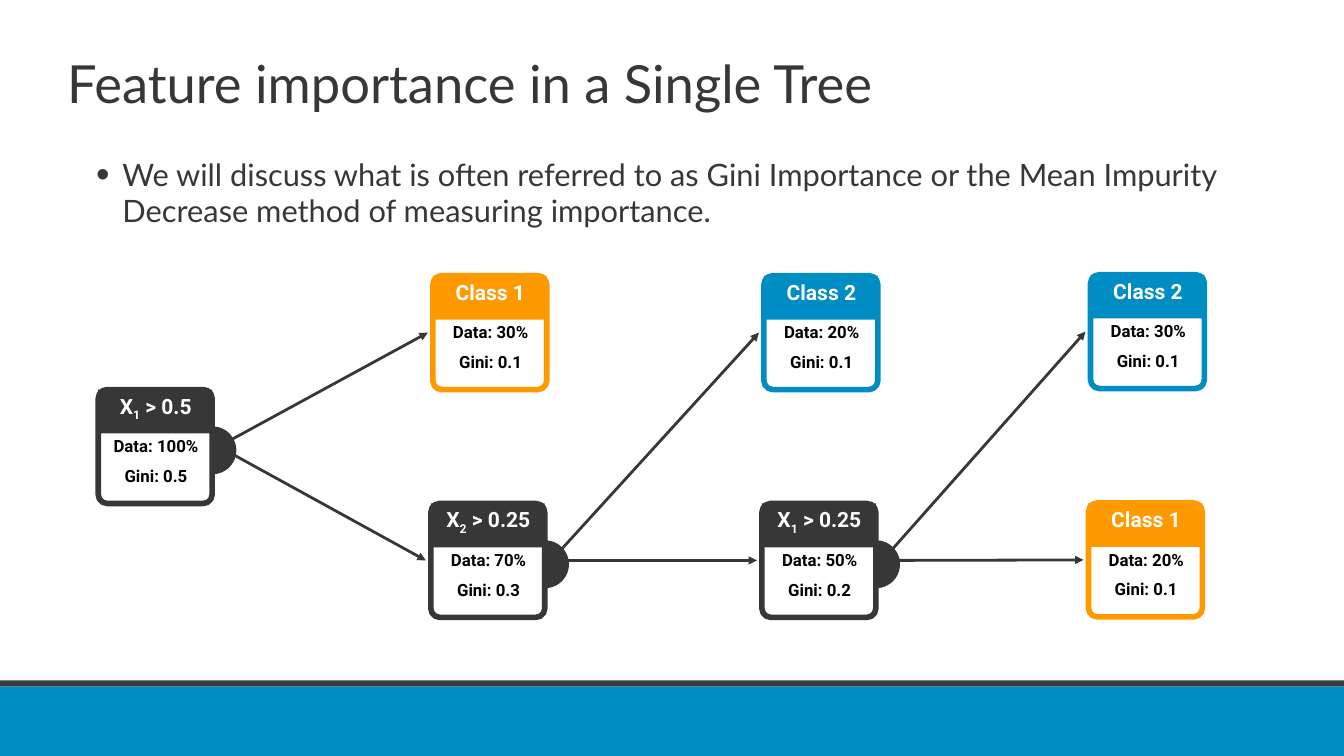
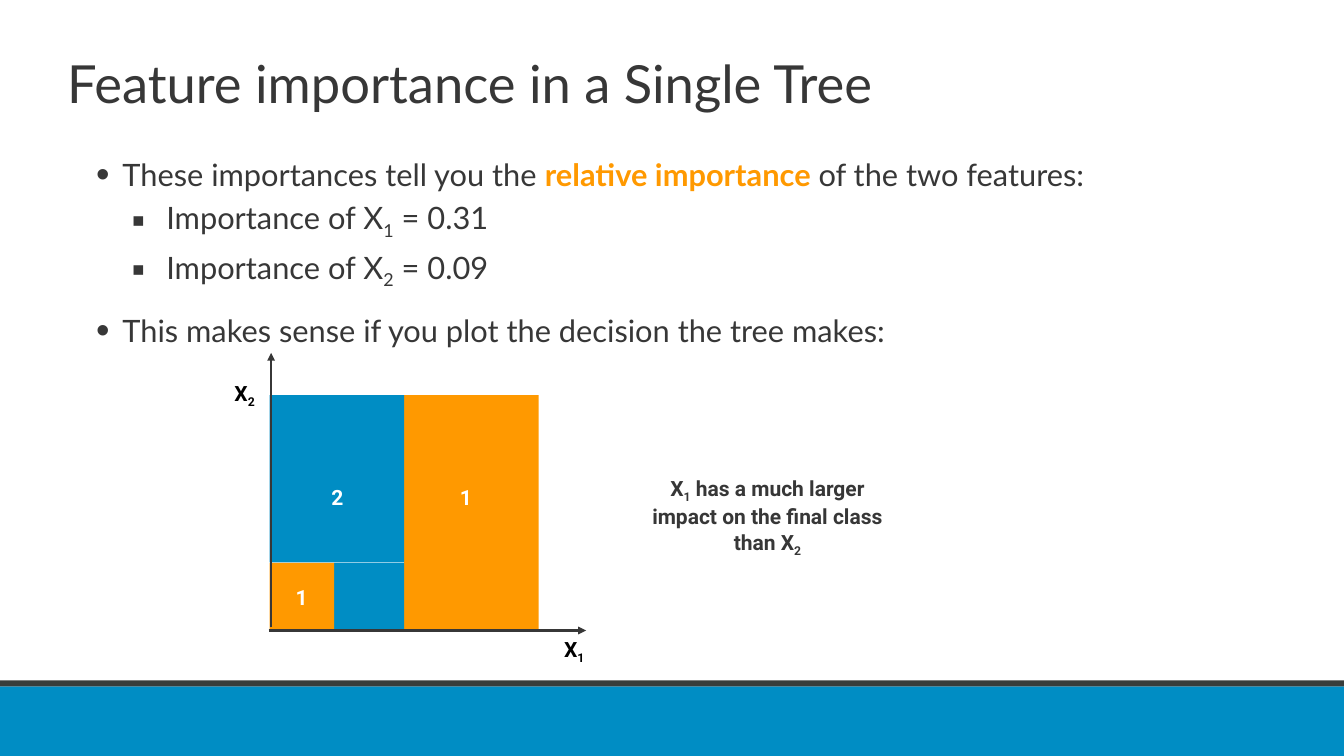
"""Build two slides on feature importance in a single decision tree."""
import pptx
import pptx.dml.color
import pptx.enum.shapes
import pptx.enum.text
import pptx.oxml.ns
import pptx.util
from lxml import etree
from pptx.util import Inches

COLORS = {
    "ink": "373737",
    "rule": "383D3B",
    "blue": "008DC4",
    "orange": "FF9900",
    "white": "FFFFFF",
    "black": "000000",
}
TITLE = "Feature importance in a Single Tree"
TITLE_FONT, LABEL_FONT = "Lato", "Roboto"
BULLETS = (("•", 0.52, 0.52, 30), ("▪", 1.39, 0.69, 10))
CARD = 2.26
HEADER = 0.87
HUB = 0.95
SHAPES = pptx.enum.shapes.MSO_SHAPE
ALIGN = pptx.enum.text.PP_ALIGN
AUTO_SIZE = pptx.enum.text.MSO_AUTO_SIZE


def rgb(name):
    return pptx.dml.color.RGBColor.from_string(COLORS[name])


def add_xml(parent, tag, **attributes):
    return etree.SubElement(parent, pptx.oxml.ns.qn(tag), **attributes)


def write_runs(paragraph, text, font, size, color, bold=False):
    """Between underscores, digits become subscripts and words are emphasised."""
    for index, piece in enumerate(text.split("_")):
        if not piece:
            continue
        run = paragraph.add_run()
        run.text = piece
        marked = index % 2 == 1
        emphasised = marked and not piece.isdigit()
        run.font.name = font
        run.font.size = pptx.util.Pt(size)
        run.font.bold = bold or emphasised
        run.font.color.rgb = rgb("orange" if emphasised else color)
        if marked and not emphasised:
            run.font._element.set("baseline", "-25000")


def add_block(slide, kind, left, top, width, height, fill, outline=None):
    block = slide.shapes.add_shape(
        kind, Inches(left), Inches(top), Inches(width), Inches(height))
    block.shadow.inherit = False
    block.fill.solid()
    block.fill.fore_color.rgb = rgb(fill)
    if outline:
        block.line.color.rgb = rgb(outline)
        block.line.width = pptx.util.Pt(8)
    else:
        block.line.fill.background()
    return block


def add_label(slide, text, left, top, width, height, size=30, color="black", wrap=True):
    label = slide.shapes.add_textbox(
        Inches(left), Inches(top), Inches(width), Inches(height))
    frame = label.text_frame
    frame.word_wrap = wrap
    frame.auto_size = AUTO_SIZE.SHAPE_TO_FIT_TEXT
    frame.paragraphs[0].alignment = ALIGN.CENTER
    write_runs(frame.paragraphs[0], text, LABEL_FONT, size, color, bold=True)


def add_arrow(slide, start, end, weight=4):
    arrow = slide.shapes.add_connector(
        pptx.enum.shapes.MSO_CONNECTOR.STRAIGHT,
        *(Inches(value) for value in (*start, *end)))
    arrow.line.color.rgb = rgb("ink")
    arrow.line.width = pptx.util.Pt(weight)
    add_xml(arrow.line._get_or_add_ln(), "a:tailEnd", type="triangle")
    add_xml(arrow._element.spPr, "a:effectLst")


def place_text(placeholder, left, top, width, height, anchor):
    placeholder.left, placeholder.top = Inches(left), Inches(top)
    placeholder.width, placeholder.height = Inches(width), Inches(height)
    frame = placeholder.text_frame
    frame.margin_left = frame.margin_right = Inches(0.06)
    frame.margin_top = frame.margin_bottom = Inches(0.06)
    frame.word_wrap = True
    frame.auto_size = AUTO_SIZE.NONE
    frame.vertical_anchor = anchor
    return frame


def format_bullet(paragraph, level):
    mark, margin, hanging, space = BULLETS[level]
    paragraph.level = level
    paragraph.alignment = ALIGN.LEFT
    paragraph.space_before = pptx.util.Pt(space)
    properties = paragraph._p.get_or_add_pPr()
    properties.set("marL", str(Inches(margin)))
    properties.set("indent", str(-Inches(hanging)))
    add_xml(properties, "a:buSzPct", val="125000")
    add_xml(properties, "a:buChar", char=mark)


def add_footer_bands(slide):
    """Draw the footer bands and hand them to the slide's layout."""
    for band in (
        add_block(slide, SHAPES.RECTANGLE, -0.05, 13.62, 26.76, 1.39, "blue"),
        add_block(slide, SHAPES.RECTANGLE, -0.03, 13.5, 26.72, 0.12, "rule"),
    ):
        slide.slide_layout.shapes._spTree.append(band._element)


def add_content_slide(deck, points):
    slide = deck.slides.add_slide(deck.slide_layouts[1])
    anchors = pptx.enum.text.MSO_ANCHOR
    heading = place_text(slide.shapes.title, 1.27, 0.39, 24.79, 2.5, anchors.MIDDLE)
    heading.paragraphs[0].alignment = ALIGN.LEFT
    write_runs(heading.paragraphs[0], TITLE, TITLE_FONT, 75, "ink")
    body = place_text(slide.placeholders[1], 1.85, 3.02, 22.97, 8.06, anchors.TOP)
    for index, (level, text) in enumerate(points):
        paragraph = body.add_paragraph() if index else body.paragraphs[0]
        format_bullet(paragraph, level)
        write_runs(paragraph, text, TITLE_FONT, 44, "ink")
    return slide


def add_node(slide, left, top, color, heading, data, gini):
    card = add_block(slide, SHAPES.ROUNDED_RECTANGLE, left, top, CARD, CARD, "white", color)
    card.adjustments[0] = 0.078
    add_block(slide, SHAPES.RECTANGLE, left, top, CARD, HEADER, color)
    add_label(slide, heading, left + 0.02, top + 0.02, 2.24, 0.61, color="white")
    add_label(slide, f"Data: {data}", left - 0.1, top + HEADER, 2.49, 0.5, size=24)
    add_label(slide, f"Gini: {gini}", left - 0.04, top + 1.46, 2.37, 0.5, size=24)


def add_tree(slide):
    nodes = {
        "root": (1.95, 7.73, "ink", "X_1_ > 0.5", "100%", "0.5"),
        "root leaf": (8.59, 5.47, "orange", "Class 1", "30%", "0.1"),
        "second": (8.55, 9.99, "ink", "X_2_ > 0.25", "70%", "0.3"),
        "second leaf": (15.16, 5.47, "blue", "Class 2", "20%", "0.1"),
        "third": (15.12, 9.99, "ink", "X_1_ > 0.25", "50%", "0.2"),
        "upper leaf": (21.64, 5.45, "blue", "Class 2", "30%", "0.1"),
        "lower leaf": (21.6, 9.98, "orange", "Class 1", "20%", "0.1"),
    }
    branches = {
        "root": ("root leaf", "second"),
        "second": ("second leaf", "third"),
        "third": ("upper leaf", "lower leaf"),
    }
    for parent, children in branches.items():
        left, top = nodes[parent][:2]
        for child in children:
            child_left, child_top = nodes[child][:2]
            add_arrow(slide, (left + CARD + 0.13, top + CARD / 2),
                      (child_left - 0.1, child_top + CARD / 2))
        add_block(slide, SHAPES.OVAL, left + 1.79, top + 0.73, HUB, HUB, "ink")
    for node in nodes.values():
        add_node(slide, *node)


def add_decision_plot(slide):
    regions = (
        (8.02, 7.84, 2.67, 4.65, "orange"),
        (5.35, 7.84, 2.67, 3.32, "blue"),
        (6.63, 11.17, 1.39, 1.33, "blue"),
        (5.35, 11.17, 1.28, 1.33, "orange"),
    )
    for region in regions:
        add_block(slide, SHAPES.RECTANGLE, *region)
    add_arrow(slide, (5.33, 12.51), (11.63, 12.51), 3.75)
    add_arrow(slide, (5.38, 12.45), (5.38, 7), 3.75)
    for axis, left, top in (("X_1_", 11.04, 12.58), ("X_2_", 4.5, 7.5)):
        add_label(slide, axis, left, top, 0.71, 0.69, wrap=False)
    for predicted, left, top in (("1", 8.84, 9.57), ("1", 5.58, 11.54), ("2", 6.29, 9.57)):
        add_label(slide, predicted, left, top, 0.81, 0.69, color="white")
    add_label(slide, "X_1_ has a much larger impact on the final class than X_2_",
              12.7, 9.38, 5.06, 1.62, color="ink")


def main():
    deck = pptx.Presentation()
    deck.slide_width, deck.slide_height = Inches(26.67), Inches(15)
    tree_slide = add_content_slide(deck, (
        (0, "We will discuss what is often referred to as Gini Importance or the "
            "Mean Impurity Decrease method of measuring importance."),
    ))
    add_footer_bands(tree_slide)
    add_tree(tree_slide)
    plot_slide = add_content_slide(deck, (
        (0, "These importances tell you the _relative importance _of the two features:"),
        (1, "Importance of X_1_ = 0.31"),
        (1, "Importance of X_2_ = 0.09"),
        (0, "This makes sense if you plot the decision the tree makes:"),
    ))
    add_decision_plot(plot_slide)
    deck.save("out.pptx")


if __name__ == "__main__":
    main()
